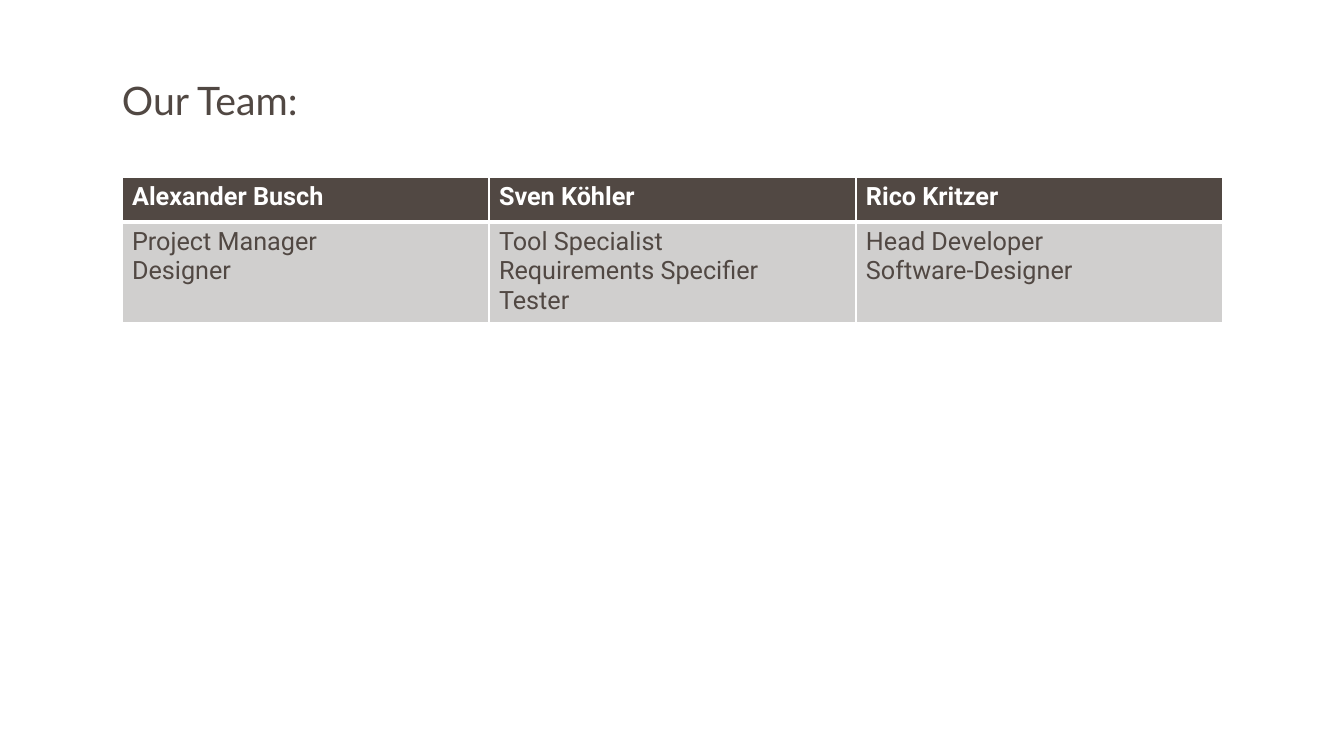
from dataclasses import dataclass

from lxml import etree
from pptx import Presentation
from pptx.dml.color import RGBColor
from pptx.enum.text import MSO_ANCHOR
from pptx.oxml.ns import qn
from pptx.util import Pt

ANCHOR_BOTTOM = MSO_ANCHOR.BOTTOM
EMU_PER_INCH = 914400
PX_PER_INCH = 100.8


@dataclass(frozen=True)
class Theme:
    dark: str = "514843"
    light: str = "FFFFFF"
    panel: str = "D0CFCE"
    title_font: str = "Lato"
    body_font: str = "Roboto"
    title_size: int = 28
    body_size: int = 18
    thin_rule: float = 0.96
    thick_rule: float = 3


THEME = Theme()
TITLE = "Our Team:"
TEAM = {
    "Alexander Busch": ["Project Manager", "Designer"],
    "Sven Köhler": ["Tool Specialist", "Requirements Specifier", "Tester"],
    "Rico Kritzer": ["Head Developer", "Software-Designer"],
}
TITLE_BOX = (122, 8, 1100, 121)
TEAM_BOX = (122, 177, 1101, 143)
HEADER_HEIGHT = 45


def px(length):
    return round(length * EMU_PER_INCH / PX_PER_INCH)


def style_paragraph(paragraph, name, size, color, bold=False):
    font = paragraph.font
    font.name = name
    font.size = Pt(size)
    font.bold = bold
    font.color.rgb = RGBColor.from_string(color)


def add_title(slide, box, text):
    shape = slide.shapes.add_textbox(*map(px, box))
    frame = shape.text_frame
    frame.word_wrap = True
    frame.vertical_anchor = ANCHOR_BOTTOM
    frame.margin_left = frame.margin_right = 0
    frame.margin_top = frame.margin_bottom = px(5)
    frame.text = text
    paragraph = frame.paragraphs[0]
    paragraph.line_spacing = 0.9
    style_paragraph(paragraph, THEME.title_font, THEME.title_size, THEME.dark)


def set_borders(cell, top, bottom):
    properties = cell._tc.get_or_add_tcPr()
    widths = {"L": THEME.thin_rule, "R": THEME.thin_rule, "T": top, "B": bottom}
    for position, (side, width) in enumerate(widths.items()):
        line = etree.Element(qn(f"a:ln{side}"), w=str(Pt(width)))
        fill = etree.SubElement(line, qn("a:solidFill"))
        etree.SubElement(fill, qn("a:srgbClr"), val=THEME.light)
        properties.insert(position, line)


def fill_cell(cell, lines, fill, color, bold):
    cell.fill.solid()
    cell.fill.fore_color.rgb = RGBColor.from_string(fill)
    cell.text = "\n".join(lines)
    for paragraph in cell.text_frame.paragraphs:
        style_paragraph(paragraph, THEME.body_font, THEME.body_size, color, bold)


def add_team_table(slide, box, team):
    left, top, width, height = box
    frame = slide.shapes.add_table(2, len(team), px(left), px(top), px(width), px(height))
    table = frame.table
    table.rows[0].height = px(HEADER_HEIGHT)
    table.rows[1].height = px(height - HEADER_HEIGHT)
    for index, (member, roles) in enumerate(team.items()):
        table.columns[index].width = px(width / len(team))
        header, body = table.cell(0, index), table.cell(1, index)
        fill_cell(header, [member], THEME.dark, THEME.light, True)
        fill_cell(body, roles, THEME.panel, THEME.dark, False)
        set_borders(header, THEME.thin_rule, THEME.thick_rule)
        set_borders(body, THEME.thick_rule, THEME.thin_rule)


def main():
    presentation = Presentation()
    presentation.slide_width = px(1344)
    presentation.slide_height = px(756)
    slide = presentation.slides.add_slide(presentation.slide_layouts[6])
    slide.background.fill.solid()
    slide.background.fill.fore_color.rgb = RGBColor.from_string(THEME.light)
    add_title(slide, TITLE_BOX, TITLE)
    add_team_table(slide, TEAM_BOX, TEAM)
    presentation.save("out.pptx")


if __name__ == "__main__":
    main()
